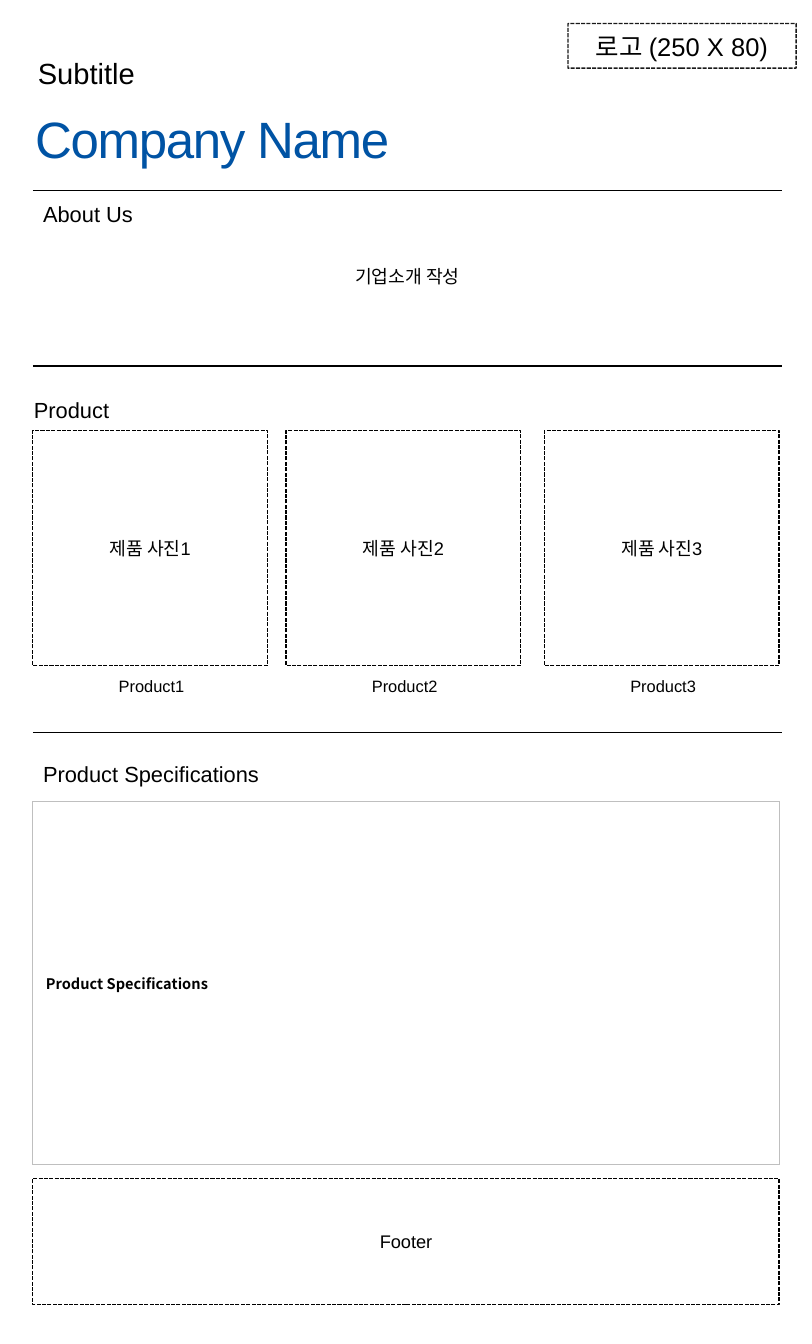
from dataclasses import dataclass

from lxml import etree
from pptx import Presentation
from pptx import util as u
from pptx.dml.color import RGBColor
from pptx.enum import dml, shapes, text
from pptx.oxml.ns import qn

COLS, ROWS = 619, 1024  # grid cells of 0.01 inch
WIDTH, HEIGHT = u.Inches(6.19), u.Inches(10.24)
LEFT, RIGHT, SPAN = 25, 596, 569
LEFTS = (25, 218, 415)
SIDE = 179
ALIGN, ANCHOR, FIT = text.PP_ALIGN, text.MSO_ANCHOR, text.MSO_AUTO_SIZE


@dataclass(frozen=True)
class Theme:
    ink: str = "000000"
    brand: str = "0053A4"
    edge: str = "BFBFBF"
    font: str = "Arial"
    spec_font: str = "Noto Sans CJK KR"
    title: int = 28
    sub: int = 16
    logo: int = 14
    head: int = 12
    body: int = 10
    label: int = 9
    cell: int = 8
    rule: float = 0.75


T = Theme()


def area(left, top, wide, high):
    """Turn grid columns and rows into slide lengths."""
    return (WIDTH * left // COLS, HEIGHT * top // ROWS,
            WIDTH * wide // COLS, HEIGHT * high // ROWS)


def write(frame, words, size, align, color=T.ink, font=T.font, bold=False):
    para = frame.paragraphs[0]
    para.add_run().text = words
    para.alignment = align
    para.font.size = u.Pt(size)
    para.font.name = font
    para.font.bold = bold
    para.font.color.rgb = RGBColor.from_string(color)
    return para


def add_text(slide, words, place, size, align=ALIGN.JUSTIFY, color=T.ink,
             anchor=ANCHOR.TOP, fit=FIT.SHAPE_TO_FIT_TEXT):
    frame = slide.shapes.add_textbox(*area(*place)).text_frame
    frame.word_wrap = True
    frame.auto_size = fit
    frame.vertical_anchor = anchor
    return write(frame, words, size, align, color)


def add_frame(slide, words, place, size=T.body):
    """Add a dashed box that holds the place of later content."""
    box = slide.shapes.add_shape(shapes.MSO_SHAPE.RECTANGLE, *area(*place))
    box.shadow.inherit = False
    box.fill.background()
    box.line.color.rgb = RGBColor.from_string(T.ink)
    box.line.width = u.Pt(T.rule)
    box.line.dash_style = dml.MSO_LINE.SQUARE_DOT
    box.text_frame.word_wrap = True
    box.text_frame.vertical_anchor = ANCHOR.MIDDLE
    write(box.text_frame, words, size, ALIGN.CENTER)
    return box


def add_rule(slide, row):
    left, top, wide, _ = area(LEFT, row, RIGHT - LEFT, 0)
    line = slide.shapes.add_connector(
        shapes.MSO_CONNECTOR.STRAIGHT, left, top, left + wide, top)
    line.line.color.rgb = RGBColor.from_string(T.ink)
    line.line.width = u.Pt(T.rule)
    etree.SubElement(line._element.spPr, qn("a:effectLst"))


def add_border(cell):
    props = cell._tc.get_or_add_tcPr()
    for side in ("lnL", "lnR", "lnT", "lnB"):
        line = etree.SubElement(props, qn(f"a:{side}"), w=str(u.Pt(T.rule)))
        fill = etree.SubElement(line, qn("a:solidFill"))
        etree.SubElement(fill, qn("a:srgbClr"), val=T.edge)


def add_specs(slide, words, place):
    table = slide.shapes.add_table(1, 1, *area(*place)).table
    table.first_row = table.horz_banding = False
    cell = table.cell(0, 0)
    add_border(cell)
    cell.fill.background()
    cell.vertical_anchor = ANCHOR.MIDDLE
    write(cell.text_frame, words, T.cell, ALIGN.LEFT,
          font=T.spec_font, bold=True)


def add_header(slide):
    logo = add_frame(slide, "로고 (250 X 80)", (433, 18, 174, 34), T.logo)
    color = logo.line._ln.find(".//" + qn("a:srgbClr"))
    etree.SubElement(color, qn("a:alpha"), val="90000")
    add_text(slide, "Subtitle", (19, 37, 325, 37), T.sub)
    name = add_text(slide, "Company Name", (17, 77, 378, 57), T.title,
                    color=T.brand)
    name.runs[0].font._element.set("spc", "-70")


def add_products(slide):
    add_text(slide, "Product", (16, 297, 101, 30), T.head, ALIGN.LEFT)
    for num, left in enumerate(LEFTS, 1):
        add_frame(slide, f"제품 사진{num}", (left, 328, SIDE, SIDE))
        add_text(slide, f"Product{num}", (left + 40, 510, 101, 25),
                 T.label, ALIGN.CENTER)


def main():
    deck = Presentation()
    deck.slide_width, deck.slide_height = WIDTH, HEIGHT
    slide = deck.slides.add_slide(deck.slide_layouts[6])

    add_header(slide)
    for row in (145, 279, 558):
        add_rule(slide, row)
    add_text(slide, "About Us", (23, 148, 101, 30), T.head)
    add_text(slide, "기업소개 작성", (14, 156, 593, 109), T.body, ALIGN.CENTER,
             anchor=ANCHOR.MIDDLE, fit=FIT.NONE)
    add_products(slide)
    add_text(slide, "Product Specifications", (23, 575, 213, 30), T.head)
    add_specs(slide, "Product Specifications", (LEFT, 611, SPAN, 276))
    add_frame(slide, "Footer", (LEFT, 898, SPAN, 96))
    deck.save("out.pptx")


if __name__ == "__main__":
    main()
